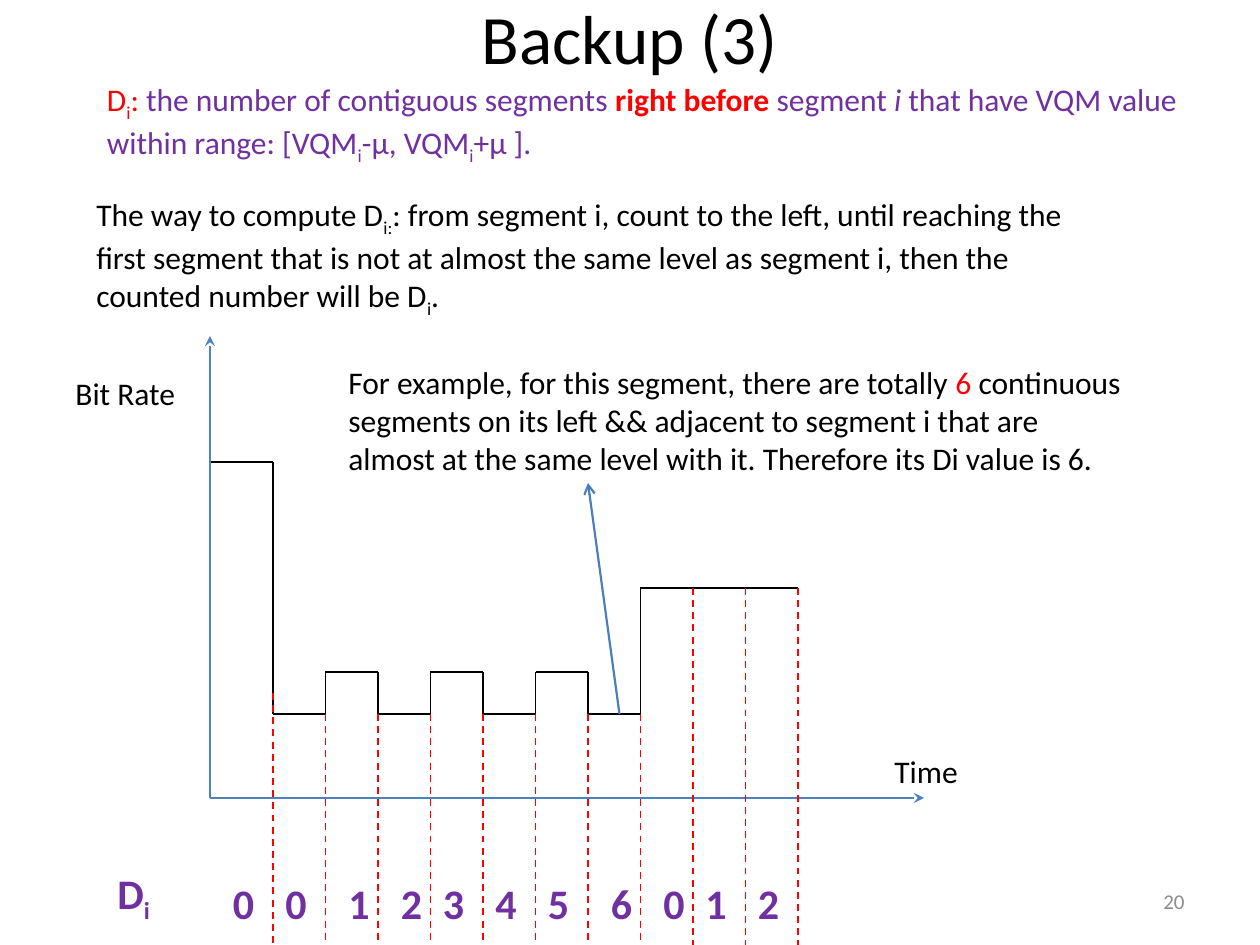
import itertools

import lxml.etree
import pptx
import pptx.dml.color
import pptx.enum.dml
import pptx.enum.text
import pptx.oxml.ns
import pptx.util

RGB = pptx.dml.color.RGBColor
BLACK = RGB(0, 0, 0)
RED = RGB(0xFF, 0, 0)
PURPLE = RGB(0x70, 0x30, 0xA0)
AXIS_BLUE = RGB(0x4F, 0x81, 0xBD)
ARROW_BLUE = RGB(0x4B, 0x7E, 0xBC)
GREY = RGB(0x8C, 0x8C, 0x8C)

ALIGN = pptx.enum.text.PP_ALIGN
ANCHOR = pptx.enum.text.MSO_ANCHOR
GROW = pptx.enum.text.MSO_AUTO_SIZE.SHAPE_TO_FIT_TEXT
DASH = pptx.enum.dml.MSO_LINE.DASH

CELL = pptx.util.Inches(1) / 12
COLUMNS, ROWS = 120, 90
AXIS_COLUMN, AXIS_ROW = 20, 76
BOUNDARIES = [AXIS_COLUMN, *range(26, 77, 5)]
HIGH, LOW, BUMP, RAISED = 44, 68, 64, 56
LEVELS = [HIGH, LOW, BUMP, LOW, BUMP, LOW, BUMP, LOW, RAISED, RAISED, RAISED]
COUNTS = "00123456012"
COUNT_COLUMNS = [21, 26, 32, 37, 41, 46, 51, 57, 62, 66, 71]


def grid(cells):
    return pptx.util.Emu(round(cells * CELL))


def set_all(target, values):
    for name, value in values.items():
        setattr(target, name, value)


def add_text(slide, box, pieces, size=18, color=BLACK, bold=False,
             align=ALIGN.LEFT, anchor=ANCHOR.TOP, auto_size=GROW):
    frame = slide.shapes.add_textbox(*map(grid, box)).text_frame
    set_all(frame, {"word_wrap": True, "auto_size": auto_size,
                    "vertical_anchor": anchor})
    paragraph = frame.paragraphs[0]
    paragraph.alignment = align
    for words, changes in pieces:
        run = paragraph.add_run()
        run.text = words
        set_all(run.font, {"name": "Calibri", "size": pptx.util.Pt(size),
                           "bold": changes.get("bold", bold),
                           "italic": changes.get("italic", False)})
        run.font.color.rgb = changes.get("color", color)
        if changes.get("sub"):
            run.font._element.set("baseline", "-25000")


def add_line(slide, start, end, color=BLACK, width=1, dash=None, head=None):
    connector = slide.shapes.add_connector(
        pptx.enum.shapes.MSO_CONNECTOR.STRAIGHT, *map(grid, (*start, *end)))
    line = connector.line
    line.color.rgb = color
    set_all(line, {"width": pptx.util.Pt(width), "dash_style": dash})
    qn = pptx.oxml.ns.qn
    properties = connector._element.spPr
    if head:
        lxml.etree.SubElement(properties.find(qn("a:ln")), qn("a:tailEnd"), type=head)
    lxml.etree.SubElement(properties, qn("a:effectLst"))


def add_bit_rate_steps(slide):
    for (left, right), level in zip(itertools.pairwise(BOUNDARIES), LEVELS):
        add_line(slide, (left, level), (right, level))
    for column, (before, after) in zip(BOUNDARIES[1:], itertools.pairwise(LEVELS)):
        if before != after:
            add_line(slide, (column, before), (column, after))


def add_axes(slide):
    origin = (AXIS_COLUMN, AXIS_ROW)
    for end in ((88, AXIS_ROW), (AXIS_COLUMN, 32)):
        add_line(slide, origin, end, AXIS_BLUE, head="stealth")
    add_text(slide, (6, 35, 16, 4.8), [("Bit Rate", {})])
    add_text(slide, (84, 71, 16, 4.8), [("Time", {})])


def add_segment_dividers(slide):
    first, *others = BOUNDARIES[1:]
    add_line(slide, (first, 66), (first, ROWS), RED, dash=DASH)
    levels_after = LEVELS[2:] + LEVELS[-1:]
    for column, before, after in zip(others, LEVELS[1:], levels_after):
        add_line(slide, (column, max(before, after)), (column, 92), RED, dash=DASH)


def add_counts(slide):
    look = {"size": 24, "color": PURPLE, "bold": True}
    add_text(slide, (10, 82, 7, 6), [("D", {}), ("i", {"sub": True})], **look)
    for column, count in zip(COUNT_COLUMNS, COUNTS):
        add_text(slide, (column, 83, 4, 6), [(count, {})], **look)


def add_explanations(slide):
    sub = {"sub": True}
    add_text(slide, (9, 7, 106, 8.5), [
        ("D", {"color": RED}),
        ("i", {"color": RED, "sub": True}),
        (": ", {"color": RED}),
        ("the number of contiguous segments ", {}),
        ("right before ", {"color": RED, "bold": True}),
        ("segment ", {}),
        ("i ", {"italic": True}),
        ("that have VQM value within range: [VQM", {}),
        ("i", sub), ("-µ, VQM", {}), ("i", sub), ("+µ ].", {}),
    ], color=PURPLE)
    add_text(slide, (8, 18, 97, 12.1), [
        ("The way to compute D", {}),
        ("i:", sub),
        (": from segment i, count to the left, until reaching the first segment "
         "that is not at almost the same level as segment i, then the counted "
         "number will be D", {}),
        ("i", sub), (".", {}),
    ])
    add_text(slide, (32, 34, 77, 12.1), [
        ("For example, for this segment, there are totally ", {}),
        ("6", {"color": RED}),
        (" continuous segments on its left && adjacent to segment i that are "
         "almost at the same level with it. Therefore its Di value is 6.", {}),
    ])
    add_line(slide, (59, LOW), (56, 46), ARROW_BLUE, 1.25, head="arrow")


def main():
    deck = pptx.Presentation()
    set_all(deck, {"slide_width": grid(COLUMNS), "slide_height": grid(ROWS)})
    slide = deck.slides.add_slide(deck.slide_layouts[6])
    fixed = {"anchor": ANCHOR.MIDDLE, "auto_size": pptx.enum.text.MSO_AUTO_SIZE.NONE}
    add_text(slide, (6, 0, 108, 7), [("Backup (3)", {})], 39.6,
             align=ALIGN.CENTER, **fixed)
    add_text(slide, (86, 83.4, 28, 4.8), [("20", {})], 12, GREY,
             align=ALIGN.RIGHT, **fixed)
    add_bit_rate_steps(slide)
    add_axes(slide)
    add_segment_dividers(slide)
    add_counts(slide)
    add_explanations(slide)
    deck.save("out.pptx")


if __name__ == "__main__":
    main()
